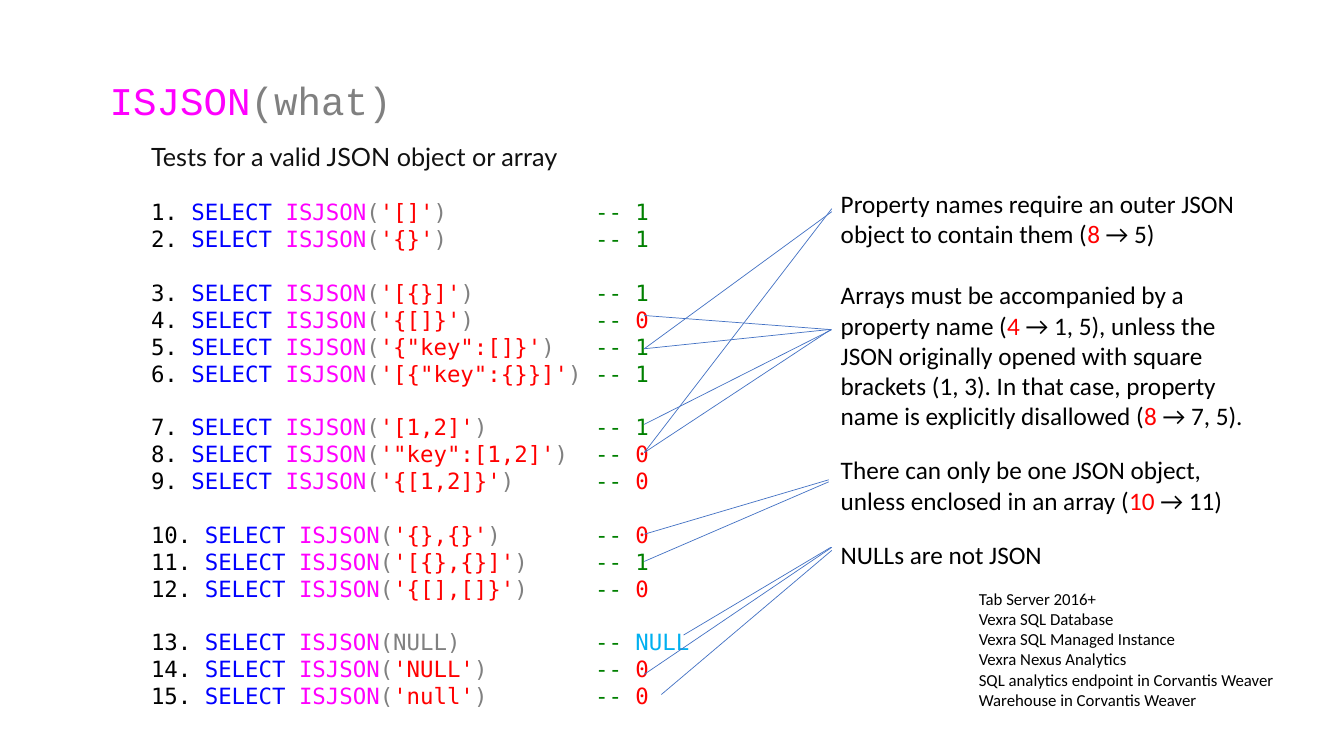
from itertools import count
from lxml import etree
from pptx import Presentation
from pptx.dml.color import RGBColor
from pptx.enum.shapes import MSO_CONNECTOR
from pptx.oxml.ns import qn
from pptx.util import Emu, Pt

STRAIGHT = MSO_CONNECTOR.STRAIGHT
BLACK = RGBColor(0, 0, 0)
INK = RGBColor(0x11, 0x11, 0x11)
GRAY = RGBColor(0x80, 0x80, 0x80)
PINK = RGBColor(0xFF, 0, 0xFF)
RED = RGBColor(0xFF, 0, 0)
BLUE = RGBColor(0, 0, 0xFF)
GREEN = RGBColor(0, 0x80, 0)
SKY = RGBColor(0, 0xB0, 0xF0)
LINK = RGBColor(0x44, 0x72, 0xC4)

TITLE = [("ISJSON", PINK), ("(what)", GRAY)]
INTRO = "Tests for a valid JSON object or array"
GROUPS = [
    [("'[]'", "1"), ("'{}'", "1")],
    [("'[{}]'", "1"), ("'{[]}'", "0"), ("'{\"key\":[]}'", "1"), ("'[{\"key\":{}}]'", "1")],
    [("'[1,2]'", "1"), ("'\"key\":[1,2]'", "0"), ("'{[1,2]}'", "0")],
    [("'{},{}'", "0"), ("'[{},{}]'", "1"), ("'{[],[]}'", "0")],
    [("NULL", "NULL"), ("'NULL'", "0"), ("'null'", "0")],
]
TINTS = {"1": GREEN, "0": RED, "NULL": SKY}
NOTES = [
    (0, ["Property names require an outer JSON object to contain them (", "8 ", "→ 5)"]),
    (22, ["Arrays must be accompanied by a property name (", "4 ",
          "→ 1, 5), unless the JSON originally opened with square brackets (1, 3). "
          "In that case, property name is explicitly disallowed (", "8 ", "→ 7, 5)."]),
    (17, ["There can only be one JSON object, unless enclosed in an array (", "10 ", "→ 11)"]),
    (17, ["NULLs are not JSON"]),
]
HOSTS = [
    "Tab Server 2016+",
    "Vexra SQL Database",
    "Vexra SQL Managed Instance",
    "Vexra Nexus Analytics",
    "SQL analytics endpoint in Corvantis Weaver",
    "Warehouse in Corvantis Weaver",
]
LINKS = [
    (639, 313, 824, 327), (639, 421, 825, 327), (639, 346, 825, 210),
    (639, 449, 825, 207), (639, 530, 822, 476), (639, 557, 822, 478),
    (678, 630, 824, 543), (639, 669, 825, 543), (656, 689, 825, 546),
    (639, 449, 824, 327), (639, 346, 822, 327),
]
COLUMN = 33
PITCH = 19.2


def px(n):
    return Emu(n * 9144)


def add_box(slide, left, top, width, height, font, size, paras):
    frame = slide.shapes.add_textbox(*map(px, (left, top, width, height))).text_frame
    frame.word_wrap = True
    for i, (gap, runs) in enumerate(paras):
        para = frame.add_paragraph() if i else frame.paragraphs[0]
        if gap:
            para.space_before = Pt(gap)
        for text, color in runs:
            run = para.add_run()
            run.text = text
            run.font.name = font
            run.font.size = Pt(size)
            run.font.color.rgb = color
    return frame


def code_rows():
    number = count(1)
    for g, group in enumerate(GROUPS):
        for i, (arg, result) in enumerate(group):
            head = f"{next(number)}. "
            used = len(head + "SELECT ISJSON(" + arg)
            close = ")".ljust(COLUMN - used)
            tint = GRAY if arg == "NULL" else RED
            yield PITCH if g and not i else 0, [
                (head, BLACK), ("SELECT ", BLUE), ("ISJSON", PINK), ("(", GRAY),
                (arg, tint), (close, GRAY), ("-- ", GREEN), (result, TINTS[result])]


def add_link(slide, x1, y1, x2, y2):
    link = slide.shapes.add_connector(STRAIGHT, px(x1), px(y1), px(x2), px(y2))
    link.line.color.rgb = LINK
    link.line.width = Pt(0.5)
    etree.SubElement(link._element.spPr, qn("a:effectLst"))


def main():
    deck = Presentation()
    deck.slide_width, deck.slide_height = px(1333), px(750)
    slide = deck.slides.add_slide(deck.slide_layouts[6])
    add_box(slide, 99, 71, 683, 57, "Courier New", 28, [(0, TITLE)])
    add_box(slide, 140, 135, 984, 40, "Lato", 18, [(0, [(INTRO, INK)])])
    code = add_box(slide, 140, 192, 577, 522, "DejaVu Sans Mono", 16, code_rows())
    for para in code.paragraphs:
        para.line_spacing = Pt(PITCH)
    add_box(slide, 961, 579, 324, 131, "Calibri", 12, [(0, [(h, BLACK)]) for h in HOSTS])
    notes = [(gap, [(t, RED if i % 2 else BLACK) for i, t in enumerate(parts)])
             for gap, parts in NOTES]
    add_box(slide, 824, 182, 425, 390, "Calibri", 18, notes)
    for ends in LINKS:
        add_link(slide, *ends)
    deck.save("out.pptx")


if __name__ == "__main__":
    main()
